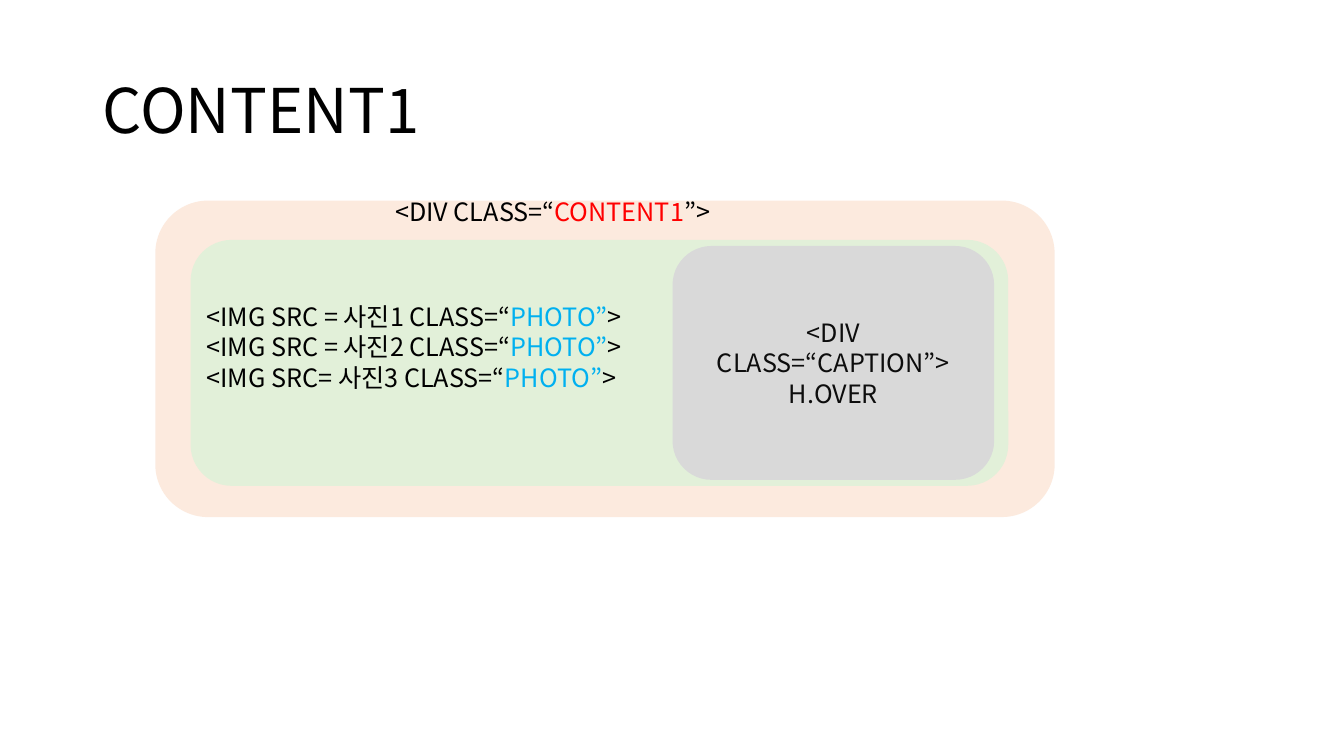
import dataclasses
import typing

import lxml.etree
import pptx
import pptx.dml.color
import pptx.enum.shapes
import pptx.enum.text
import pptx.oxml.ns
import pptx.util

SCALE = 9144
FONT = "Noto Sans CJK KR"
BLACK, RED, BLUE, DARK = "000000", "FF0000", "00B0F0", "0D0D0D"
ALIGN = pptx.enum.text.PP_ALIGN
ANCHOR = pptx.enum.text.MSO_ANCHOR
SIZING = pptx.enum.text.MSO_AUTO_SIZE

Piece = tuple[str, str]
Line = list[Piece]


@dataclasses.dataclass
class Area:
    left: int
    top: int
    width: int
    height: int

    def emu(self) -> list[int]:
        return [n * SCALE for n in (self.left, self.top, self.width, self.height)]


@dataclasses.dataclass
class Panel:
    area: Area
    fill: str
    alpha: int = 100


@dataclasses.dataclass
class Label:
    area: Area
    lines: list[Line]


def color(code: str) -> pptx.dml.color.RGBColor:
    return pptx.dml.color.RGBColor.from_string(code)


def style(run: typing.Any, size: int, code: str) -> None:
    run.font.size = pptx.util.Pt(size)
    run.font.name = FONT
    run.font.color.rgb = color(code)
    east = lxml.etree.SubElement(run.font._element, pptx.oxml.ns.qn("a:ea"))
    east.set("typeface", FONT)


def write(frame: typing.Any, lines: list[Line], align: ALIGN) -> None:
    for i, line in enumerate(lines):
        para = frame.add_paragraph() if i else frame.paragraphs[0]
        para.alignment = align
        for text, code in line:
            run = para.add_run()
            run.text = text
            style(run, 18, code)


def draw_panel(slide: typing.Any, panel: Panel) -> typing.Any:
    kind = pptx.enum.shapes.MSO_SHAPE.ROUNDED_RECTANGLE
    shape = slide.shapes.add_shape(kind, *panel.area.emu())
    shape.shadow.inherit = False
    shape.line.fill.background()
    shape.fill.solid()
    shape.fill.fore_color.rgb = color(panel.fill)
    if panel.alpha < 100:
        tint = shape._element.spPr.find(".//" + pptx.oxml.ns.qn("a:srgbClr"))
        alpha = lxml.etree.SubElement(tint, pptx.oxml.ns.qn("a:alpha"))
        alpha.set("val", str(panel.alpha * 1000))
    return shape


def draw_label(slide: typing.Any, label: Label) -> None:
    frame = slide.shapes.add_textbox(*label.area.emu()).text_frame
    frame.word_wrap = False
    frame.auto_size = SIZING.SHAPE_TO_FIT_TEXT
    write(frame, label.lines, ALIGN.LEFT)


def draw_title(slide: typing.Any, text: str, area: Area) -> None:
    title = slide.shapes.title
    title.left, title.top, title.width, title.height = area.emu()
    frame = title.text_frame
    frame.text = text
    frame.auto_size = SIZING.NONE
    frame.vertical_anchor = ANCHOR.MIDDLE
    para = frame.paragraphs[0]
    para.alignment = ALIGN.LEFT
    para.line_spacing = 0.9
    style(para.runs[0], 44, BLACK)


def photo(start: str) -> Line:
    return [(f"<IMG {start} CLASS=“", BLACK), ("PHOTO”", BLUE), (">", BLACK)]


BACKS = [
    Panel(Area(154, 199, 892, 314), "F4B183", 26),
    Panel(Area(189, 238, 811, 244), "E2F0D9"),
]
LABELS = [
    Label(
        Area(382, 190, 343, 40),
        [[("<DIV CLASS=“", BLACK), ("CONTENT1", RED), ("”>", BLACK)]],
    ),
    Label(
        Area(195, 294, 485, 101),
        [photo(start) for start in ("SRC = 사진1", "SRC = 사진2", "SRC= 사진3")],
    ),
]
CAPTION = Panel(Area(667, 244, 319, 232), "D9D9D9")


def main() -> None:
    deck = pptx.Presentation()
    deck.slide_width, deck.slide_height = 1333 * SCALE, 750 * SCALE
    slide = deck.slides.add_slide(deck.slide_layouts[5])
    draw_title(slide, "CONTENT1", Area(92, 40, 1150, 145))
    for panel in BACKS:
        draw_panel(slide, panel)
    for label in LABELS:
        draw_label(slide, label)
    frame = draw_panel(slide, CAPTION).text_frame
    frame.word_wrap = True
    frame.vertical_anchor = ANCHOR.MIDDLE
    lines = [[("<DIV CLASS=“CAPTION”>", DARK)], [("H.OVER", DARK)]]
    write(frame, lines, ALIGN.CENTER)
    deck.save("out.pptx")


if __name__ == "__main__":
    main()
